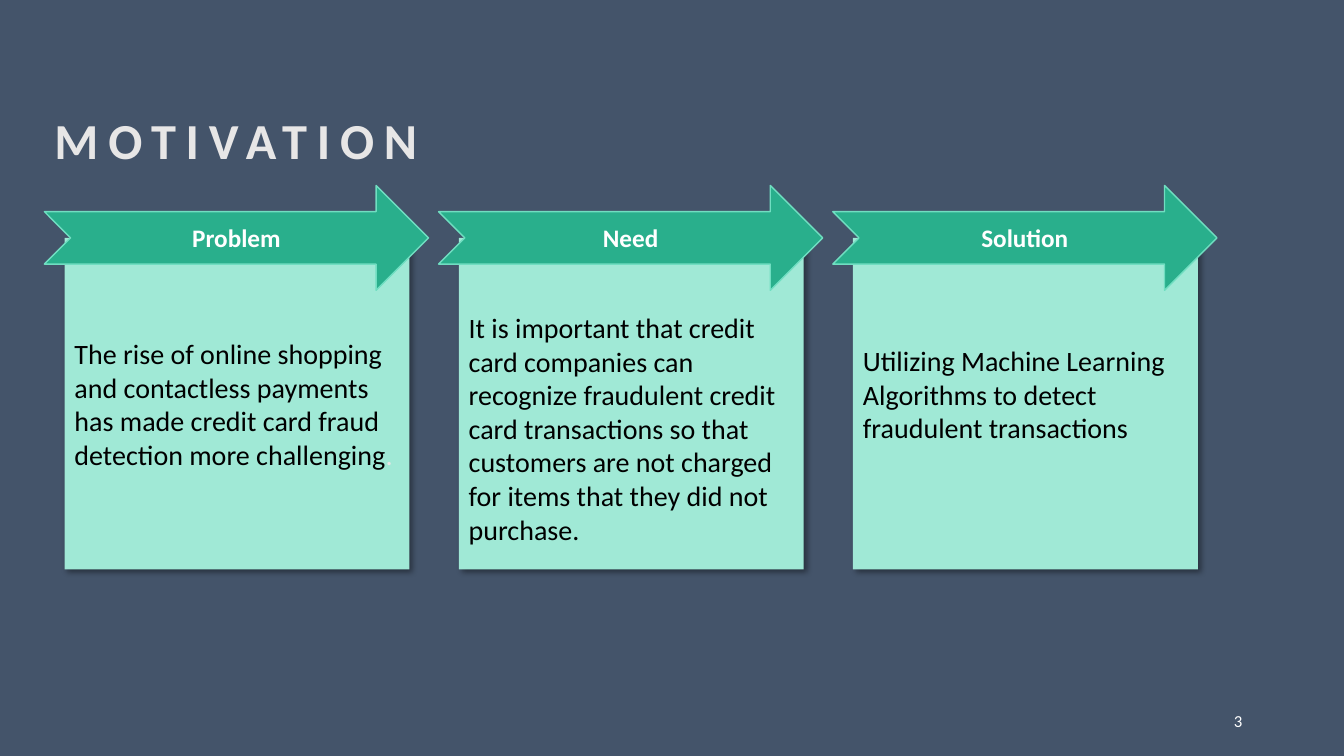
from lxml import etree
from pptx import Presentation
from pptx.dml.color import RGBColor
from pptx.enum.shapes import MSO_SHAPE
from pptx.enum.text import MSO_ANCHOR, MSO_AUTO_SIZE, PP_ALIGN
from pptx.oxml import parse_xml
from pptx.oxml.ns import nsdecls, qn
from pptx.util import Inches, Pt

RECTANGLE, NOTCHED_ARROW = MSO_SHAPE.RECTANGLE, MSO_SHAPE.NOTCHED_RIGHT_ARROW
TOP, MIDDLE, BOTTOM = MSO_ANCHOR.TOP, MSO_ANCHOR.MIDDLE, MSO_ANCHOR.BOTTOM
LEFT, CENTER, RIGHT = PP_ALIGN.LEFT, PP_ALIGN.CENTER, PP_ALIGN.RIGHT
NO_AUTOFIT = MSO_AUTO_SIZE.NONE

SLATE = RGBColor(0x44, 0x54, 0x6A)
PALE_GREY = RGBColor(0xE7, 0xE6, 0xE6)
MINT = RGBColor(0xA0, 0xE9, 0xD6)
GREEN = RGBColor(0x29, 0xAF, 0x8C)
LIGHT_GREEN = RGBColor(0x70, 0xDE, 0xC1)
BLACK = RGBColor(0, 0, 0)
WHITE = RGBColor(255, 255, 255)

TITLE_FONT = {"name": "Calibri", "size": Pt(36), "bold": True}
HEADING_FONT = {"name": "Calibri", "size": Pt(18), "bold": True}
BODY_FONT = {"name": "Calibri", "size": Pt(20), "bold": False}
NUMBER_FONT = {"name": "Calibri", "size": Pt(12), "bold": False}

FIRST_LEFT, COLUMN_STEP = 0.44, 3.91
COLUMNS = [
    ("Problem", 0.98, [
        ("The rise of online shopping and contactless payments has made "
         "credit card fraud detection more challenging", BLACK),
        (".", PALE_GREY)]),
    ("Need", 0.72, [
        ("It is important that credit card companies can recognize fraudulent "
         "credit card transactions so that customers are not charged for "
         "items that they did not purchase.", BLACK)]),
    ("Solution", 1.05, [
        ("Utilizing Machine Learning Algorithms to detect fraudulent "
         "transactions", BLACK)]),
]


def write(holder, runs, font, anchor, align):
    """Fill the first paragraph with (text, colour) runs and return it."""
    frame = holder.text_frame
    settings = {"word_wrap": True, "auto_size": NO_AUTOFIT,
                "vertical_anchor": anchor}
    for key, value in settings.items():
        setattr(frame, key, value)
    paragraph = frame.paragraphs[0]
    paragraph.alignment = align
    for text, colour in runs:
        run = paragraph.add_run()
        run.text = text
        for key, value in font.items():
            setattr(run.font, key, value)
        run.font.color.rgb = colour
    return paragraph


def add_title(slide, text):
    """Place the letter-spaced title in its placeholder."""
    title = slide.shapes.title
    title.left, title.top = Inches(FIRST_LEFT), Inches(0.93)
    title.width, title.height = Inches(5.37), Inches(0.8)
    paragraph = write(title, [(text, PALE_GREY)], TITLE_FONT, BOTTOM, LEFT)
    paragraph.line_spacing = 1.2
    paragraph.runs[0].font._element.set("spc", "700")


def add_filled(slide, kind, box, fill):
    """Add a flat preset shape without outline."""
    shape = slide.shapes.add_shape(kind, *map(Inches, box))
    shape.shadow.inherit = False
    shape.fill.solid()
    shape.fill.fore_color.rgb = fill
    shape.line.fill.background()
    return shape


def add_shadow(shape):
    """Cast a soft shadow to the lower right."""
    effects = shape._element.spPr.find(qn("a:effectLst"))
    shadow = parse_xml(
        f'<a:outerShdw {nsdecls("a")} blurRad="{Pt(4)}" dist="{Pt(3)}" '
        'dir="2700000" algn="tl" rotWithShape="0"/>')
    colour = etree.SubElement(shadow, qn("a:srgbClr"), val=str(BLACK))
    etree.SubElement(colour, qn("a:alpha"), val="40000")
    effects.append(shadow)


def add_card(slide, left, text_top, runs):
    """Add a mint card whose text starts below its heading arrow."""
    card = add_filled(slide, RECTANGLE, (left + 0.2, 2.36, 3.42, 3.29), MINT)
    add_shadow(card)
    write(card, runs, BODY_FONT, TOP, LEFT)
    card.text_frame.margin_top = Inches(text_top)


def add_heading(slide, left, text):
    """Add the notched arrow that heads a column."""
    arrow = add_filled(slide, NOTCHED_ARROW, (left, 1.84, 3.81, 1.04), GREEN)
    arrow.line.color.rgb = LIGHT_GREEN
    arrow.line.width = Pt(1)
    write(arrow, [(text, WHITE)], HEADING_FONT, MIDDLE, CENTER)


def add_page_number(slide, number):
    """Add the page number at the lower right."""
    box = slide.shapes.add_textbox(*map(Inches, (9.42, 6.95, 3, 0.4)))
    paragraph = write(box, [(number, WHITE)], NUMBER_FONT, MIDDLE, RIGHT)
    paragraph.space_after = Pt(6)


def main():
    """Build and save the slide."""
    deck = Presentation()
    deck.slide_width, deck.slide_height = Inches(13.33), Inches(7.5)
    slide = deck.slides.add_slide(deck.slide_layouts[5])
    slide.background.fill.solid()
    slide.background.fill.fore_color.rgb = SLATE
    add_title(slide, "MOTIVATION")
    for index, (heading, text_top, runs) in enumerate(COLUMNS):
        left = FIRST_LEFT + index * COLUMN_STEP
        add_card(slide, left, text_top, runs)
        add_heading(slide, left, heading)
    add_page_number(slide, "3")
    deck.save("out.pptx")


if __name__ == "__main__":
    main()
